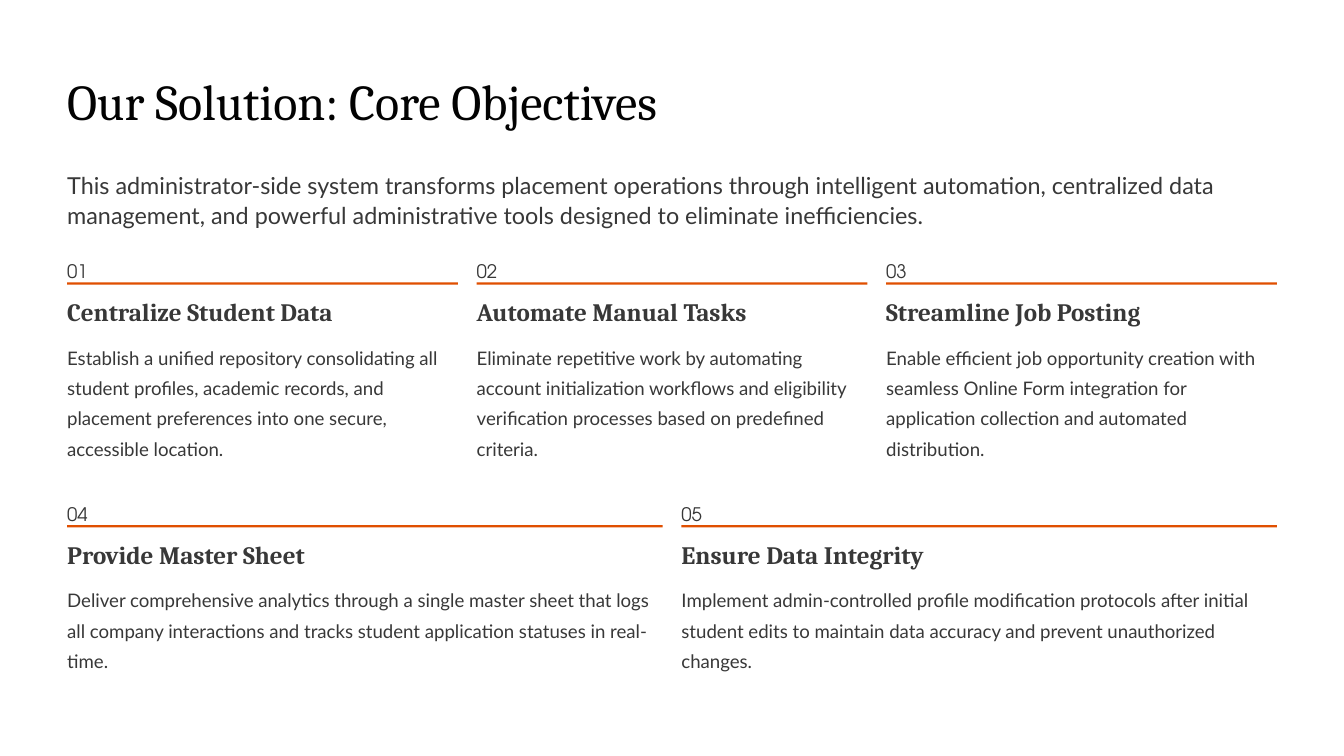
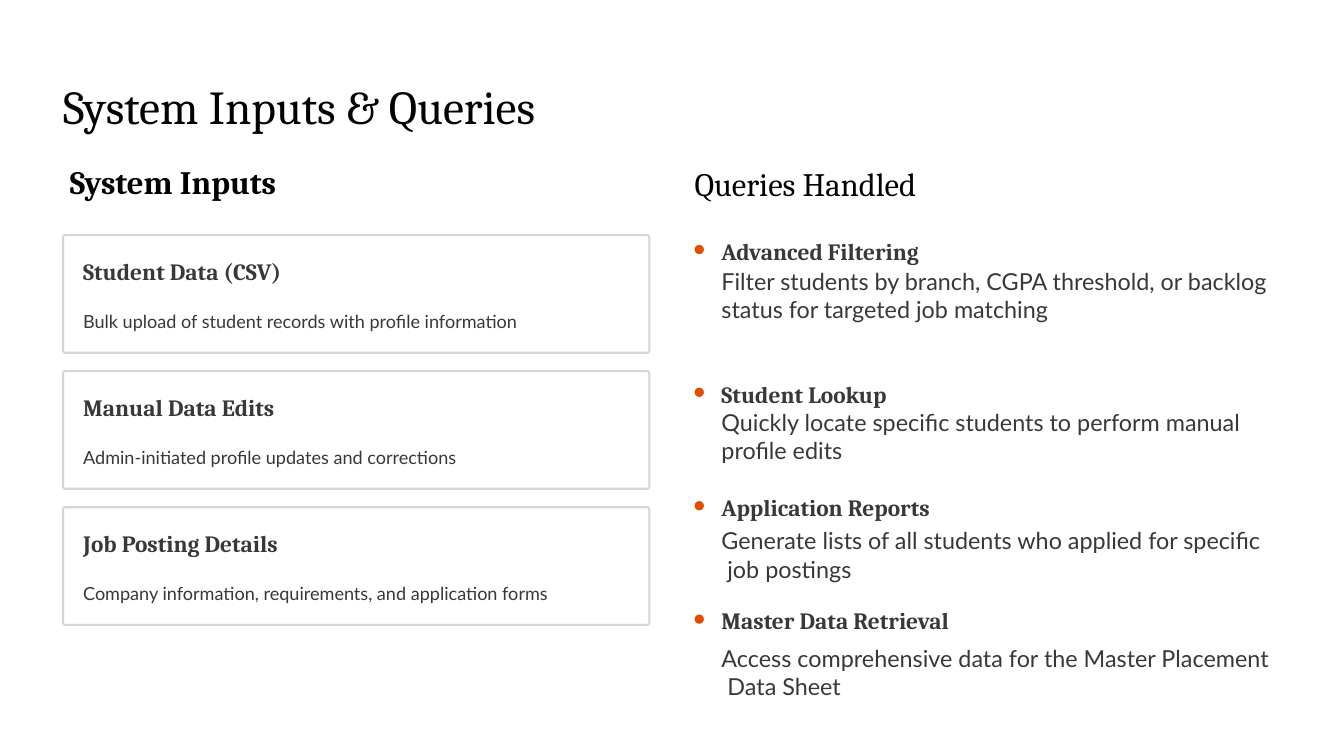
from dataclasses import dataclass
from typing import NamedTuple

from pptx import Presentation
from pptx.dml.color import RGBColor
from pptx.enum.shapes import MSO_SHAPE as Preset
from pptx.enum.text import MSO_ANCHOR as Anchor, MSO_AUTO_SIZE as AutoSize, PP_ALIGN as Align
from pptx.shapes.autoshape import Shape
from pptx.slide import Slide
from pptx.util import Pt

# Shared colours and fonts
WHITE = RGBColor(0xFF, 0xFF, 0xFF)
BLACK = RGBColor(0x02, 0x02, 0x02)
GREY = RGBColor(0x38, 0x38, 0x38)
BORDER = RGBColor(0xD8, 0xD4, 0xD4)
ORANGE = RGBColor(0xE0, 0x4F, 0x00)
SERIF, SANS, GEOMETRIC = "Cambria", "Lato", "TeX Gyre Adventor"


class Box(NamedTuple):
    """Left, top, width and height in points."""
    left: float
    top: float
    width: float
    height: float

    def lengths(self) -> list[Pt]:
        return [Pt(value) for value in self]


@dataclass(frozen=True)
class Style:
    font: str
    size: float
    line: float
    color: RGBColor = GREY
    bold: bool = False


# Text styles
OBJECTIVES_TITLE = Style(SERIF, 43, 53.5, BLACK)
INPUTS_TITLE = Style(SERIF, 40.5, 51, BLACK)
INTRO = Style(SANS, 20, 26)
NUMBER = Style(GEOMETRIC, 16, 26)
OBJECTIVE_HEADING = Style(SERIF, 21.5, 26.5, bold=True)
OBJECTIVE_BODY = Style(SANS, 16, 26)
COLUMN_BOLD = Style(SERIF, 28, 30.5, BLACK, True)
COLUMN_PLAIN = Style(SERIF, 28, 30.5, BLACK)
ITEM_HEADING = Style(SERIF, 20, 25.5, bold=True)
CARD_BODY = Style(SANS, 15.5, 24.5)
QUERY_BODY = Style(SANS, 20, 24.5)


@dataclass(frozen=True)
class Item:
    heading: str
    body: str


@dataclass(frozen=True)
class Query:
    top: float
    body_top: float
    item: Item


# Slide 1 grid
LEFT, CONTENT_WIDTH, GAP = 57.6, 1037, 16
OBJECTIVE_ROWS = [
    (216, 105, [
        Item("Centralize Student Data",
             "Establish a unified repository consolidating all student profiles, academic "
             "records, and placement preferences into one secure, accessible location."),
        Item("Automate Manual Tasks",
             "Eliminate repetitive work by automating account initialization workflows and "
             "eligibility verification processes based on predefined criteria."),
        Item("Streamline Job Posting",
             "Enable efficient job opportunity creation with seamless Online Form integration "
             "for application collection and automated distribution."),
    ]),
    (424, 78.5, [
        Item("Provide Master Sheet",
             "Deliver comprehensive analytics through a single master sheet that logs all "
             "company interactions and tracks student application statuses in real-time."),
        Item("Ensure Data Integrity",
             "Implement admin-controlled profile modification protocols after initial student "
             "edits to maintain data accuracy and prevent unauthorized changes."),
    ]),
]

# Slide 2 columns
CARD = Box(54, 201.6, 502.6, 100.8)
CARD_PITCH = 116.6
QUERY_LEFT, QUERY_INDENT, DOT_SIZE = 595.4, 23, 8
CARDS = [
    Item("Student Data (CSV)", "Bulk upload of student records with profile information"),
    Item("Manual Data Edits", "Admin-initiated profile updates and corrections"),
    Item("Job Posting Details", "Company information, requirements, and application forms"),
]
QUERIES = [
    Query(201.6, 228.2, Item(
        "Advanced Filtering",
        "Filter students by branch, CGPA threshold, or backlog status for targeted job matching")),
    Query(324, 349.2, Item(
        "Student Lookup",
        "Quickly locate specific students to perform manual\nprofile edits")),
    Query(421.2, 450.7, Item(
        "Application Reports",
        "Generate lists of all students who applied for specific\n job postings")),
    Query(518.4, 551.5, Item(
        "Master Data Retrieval",
        "Access comprehensive data for the Master Placement\n Data Sheet")),
]


def write(shape: Shape, text: str, style: Style, wrap: bool) -> None:
    """Fill a shape with left-aligned text in one style."""
    frame = shape.text_frame
    frame.margin_left = frame.margin_top = frame.margin_right = frame.margin_bottom = 0
    frame.vertical_anchor = Anchor.TOP
    frame.auto_size = AutoSize.NONE
    frame.word_wrap = wrap
    frame.text = text
    for paragraph in frame.paragraphs:
        paragraph.alignment = Align.LEFT
        paragraph.line_spacing = Pt(style.line)
        for run in paragraph.runs:
            run.font.name = style.font
            run.font.size = Pt(style.size)
            run.font.bold = style.bold
            run.font.color.rgb = style.color


def add_text(slide: Slide, box: Box, text: str, style: Style, wrap: bool = False) -> None:
    write(slide.shapes.add_textbox(*box.lengths()), text, style, wrap)


def add_shape(slide: Slide, preset: Preset, box: Box, fill: RGBColor) -> Shape:
    """Add a flat, borderless shape."""
    shape = slide.shapes.add_shape(preset, *box.lengths())
    shape.shadow.inherit = False
    shape.fill.solid()
    shape.fill.fore_color.rgb = fill
    shape.line.fill.background()
    return shape


def add_titled_slide(presentation: Presentation, title: str, box: Box, style: Style) -> Slide:
    slide = presentation.slides.add_slide(presentation.slide_layouts[5])
    placeholder = slide.shapes.title
    placeholder.left, placeholder.top, placeholder.width, placeholder.height = box.lengths()
    write(placeholder, title, style, wrap=False)
    return slide


def add_objective(slide: Slide, number: int, item: Item, column: Box) -> None:
    """Add a number, a rule, a heading and a description."""
    left, top, width, body_height = column
    add_text(slide, Box(left, top, 27, 26), f"{number:02}", NUMBER)
    add_shape(slide, Preset.RECTANGLE, Box(left, top + 26, width, 2), ORANGE)
    add_text(slide, Box(left, top + 37.5, 230, 26.5), item.heading, OBJECTIVE_HEADING)
    add_text(slide, Box(left, top + 74.2, width, body_height), item.body,
             OBJECTIVE_BODY, wrap=True)


def add_card(slide: Slide, item: Item, box: Box) -> None:
    card = add_shape(slide, Preset.ROUNDED_RECTANGLE, box, WHITE)
    card.adjustments[0] = 0.02
    card.line.color.rgb = BORDER
    card.line.width = Pt(1.8)
    left = box.left + 17.3
    add_text(slide, Box(left, box.top + 17.3, 204.5, 26), item.heading, ITEM_HEADING)
    add_text(slide, Box(left, box.top + 58.6, 468, 25), item.body, CARD_BODY)


def add_query(slide: Slide, query: Query) -> None:
    dot = add_shape(slide, Preset.ROUNDED_RECTANGLE,
                    Box(QUERY_LEFT, query.top + 8.3, DOT_SIZE, DOT_SIZE), ORANGE)
    dot.adjustments[0] = 0.5
    left = QUERY_LEFT + QUERY_INDENT
    add_text(slide, Box(left, query.top, 204.5, 26), query.item.heading, ITEM_HEADING)
    add_text(slide, Box(left, query.body_top, 479, 49.5), query.item.body,
             QUERY_BODY, wrap=True)


def build_objectives(presentation: Presentation) -> None:
    slide = add_titled_slide(presentation, "Our Solution: Core Objectives",
                             Box(LEFT, 58.3, 582, 53), OBJECTIVES_TITLE)
    add_text(slide, Box(LEFT, 144.7, CONTENT_WIDTH, 52.5),
             "This administrator-side system transforms placement operations through "
             "intelligent automation, centralized data management, and powerful "
             "administrative tools designed to eliminate inefficiencies.", INTRO, wrap=True)
    # Numbered objectives, each row filling the content width
    number = 1
    for top, body_height, items in OBJECTIVE_ROWS:
        width = (CONTENT_WIDTH - GAP * (len(items) - 1)) / len(items)
        for column, item in enumerate(items):
            box = Box(LEFT + column * (width + GAP), top, width, body_height)
            add_objective(slide, number, item, box)
            number += 1


def build_inputs(presentation: Presentation) -> None:
    slide = add_titled_slide(presentation, "System Inputs & Queries",
                             Box(CARD.left, 63.4, 478, 51), INPUTS_TITLE)
    # Input cards
    add_text(slide, Box(59.8, 141.8, 245.5, 31), "System Inputs", COLUMN_BOLD)
    for index, item in enumerate(CARDS):
        add_card(slide, item, CARD._replace(top=CARD.top + index * CARD_PITCH))
    # Query list
    add_text(slide, Box(QUERY_LEFT, 143.3, 245.5, 31), "Queries Handled", COLUMN_PLAIN)
    for query in QUERIES:
        add_query(slide, query)


def main() -> None:
    presentation = Presentation()
    presentation.slide_width, presentation.slide_height = Pt(1152), Pt(648)
    build_objectives(presentation)
    build_inputs(presentation)
    presentation.save("out.pptx")


if __name__ == "__main__":
    main()
